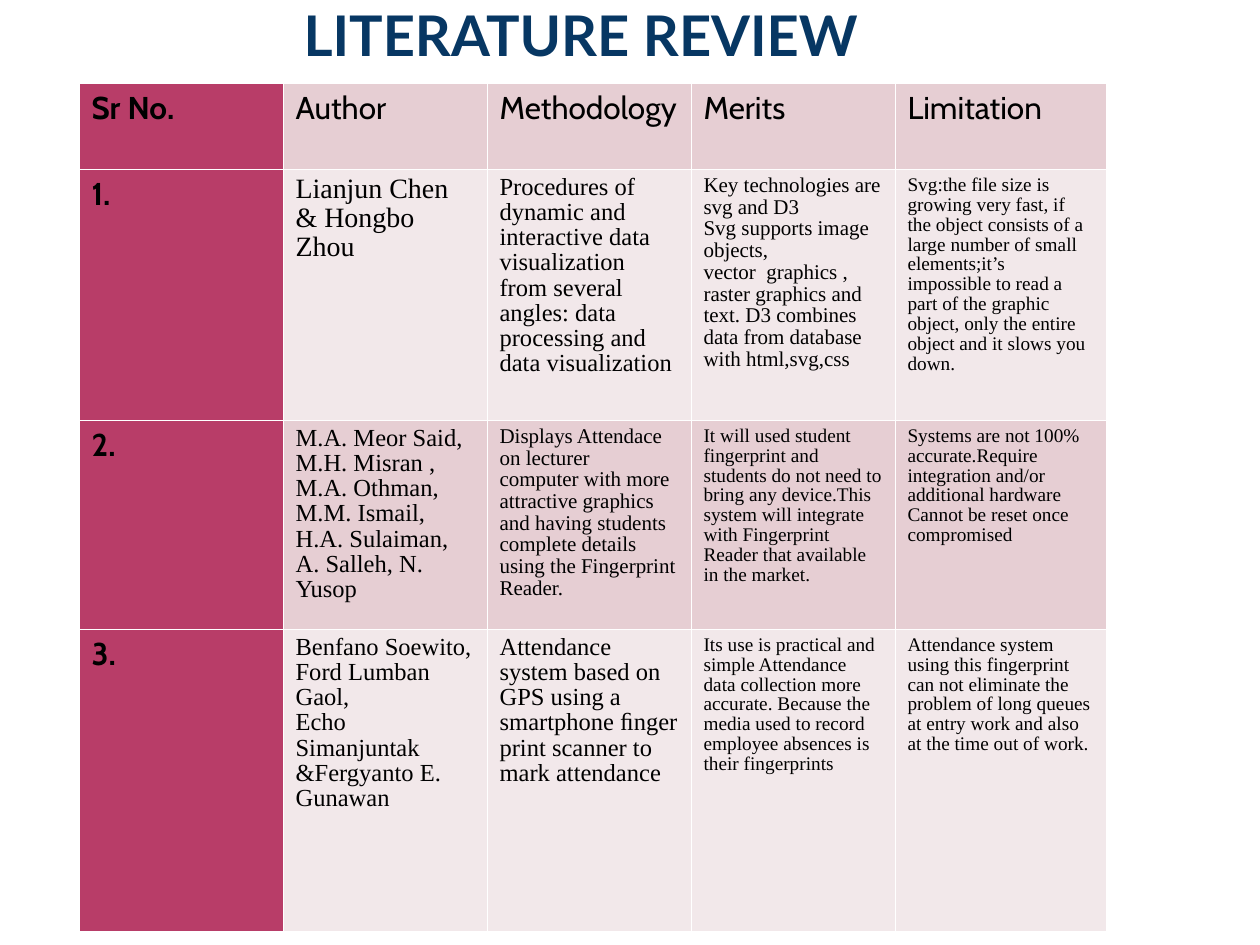
from lxml import etree
from pptx import Presentation
from pptx import util as u
from pptx.dml.color import RGBColor
from pptx.enum import text
from pptx.oxml.ns import qn

PX = u.Inches(1) // 126

COLUMNS = [204, 204, 204, 204, 211]
ROWS = [86, 251, 209, 302]
HEADER = ["Sr No.", "Author", "Methodology", "Merits", "Limitation"]

# Each body cell: font size, then its paragraphs
STUDIES = [
    [
        (16, ["Lianjun Chen", "& Hongbo Zhou"]),
        (14, ["Procedures of dynamic and interactive data visualization from "
              "several angles: data processing and data visualization"]),
        (12, ["Key technologies are svg and D3",
              "Svg supports image objects,",
              "vector  graphics , raster graphics and text. D3 combines data "
              "from database with html,svg,css"]),
        (11, ["Svg:the file size is growing very fast, if the object consists "
              "of a large number of small elements;it’s impossible to read a "
              "part of the graphic object, only the entire object and it "
              "slows you down."]),
    ],
    [
        (14, ["M.A. Meor Said, M.H. Misran , M.A. Othman, M.M. Ismail, "
              "H.A. Sulaiman, A. Salleh, N. Yusop"]),
        (12, ["Displays Attendace on lecturer",
              "computer with more attractive graphics and having students "
              "complete details using the Fingerprint Reader."]),
        (11, ["It will used student fingerprint and students do not need to "
              "bring any device.This system will integrate with Fingerprint "
              "Reader that available in the market."]),
        (11, ["Systems are not 100% accurate.Require integration and/or "
              "additional hardware",
              "Cannot be reset once compromised"]),
    ],
    [
        (14, ["Benfano Soewito, Ford Lumban Gaol,",
              "Echo Simanjuntak &Fergyanto E. Gunawan"]),
        (14, ["Attendance system based on GPS using a smartphone ﬁnger print "
              "scanner to mark attendance"]),
        (11, ["Its use is practical and simple Attendance data collection "
              "more accurate. Because the media used to record employee "
              "absences is their fingerprints"]),
        (11, ["Attendance system using this fingerprint can not eliminate the "
              "problem of long queues at entry work and also at the time out "
              "of work."]),
    ],
]


def px(length):
    return u.Emu(length * PX)


def color(value):
    return RGBColor.from_string(value)


def write(frame, lines, *, size, font, fill="000000", bold=False,
          align=text.PP_ALIGN.LEFT, spacing=1.0):
    """Fill a text frame with one paragraph per line."""
    for index, line in enumerate(lines):
        paragraph = frame.add_paragraph() if index else frame.paragraphs[0]
        paragraph.alignment = align
        paragraph.line_spacing = spacing
        run = paragraph.add_run()
        run.text = line
        run.font.size = u.Pt(size)
        run.font.name = font
        run.font.bold = bold
        run.font.color.rgb = color(fill)


def add_title(slide, title):
    shape = slide.shapes.title
    shape.left, shape.top, shape.width, shape.height = map(px, (171, 0, 820, 91))
    frame = shape.text_frame
    frame.auto_size = text.MSO_AUTO_SIZE.NONE
    frame.vertical_anchor = text.MSO_ANCHOR.TOP
    frame.margin_left = frame.margin_right = px(6)
    frame.margin_top = frame.margin_bottom = 0
    write(frame, [title], size=32, font="Lato", fill="073763", bold=True,
          align=text.PP_ALIGN.CENTER)


def style_cell(cell, fill):
    """Give a cell its fill and thin white borders."""
    properties = cell._tc.get_or_add_tcPr()
    for side in ("a:lnL", "a:lnR", "a:lnT", "a:lnB"):
        line = etree.SubElement(properties, qn(side), w=str(u.Pt(0.45)))
        solid = etree.SubElement(line, qn("a:solidFill"))
        etree.SubElement(solid, qn("a:srgbClr"), val="FFFFFF")
    cell.fill.solid()
    cell.fill.fore_color.rgb = color(fill)


def add_review_table(slide):
    table = slide.shapes.add_table(
        len(ROWS), len(COLUMNS), px(79), px(83),
        px(sum(COLUMNS)), px(sum(ROWS))).table
    for column, width in zip(table.columns, COLUMNS):
        column.width = px(width)
    for row, height in zip(table.rows, ROWS):
        row.height = px(height)

    contents = [[(18, [label]) for label in HEADER]]
    for number, study in enumerate(STUDIES, 1):
        contents.append([(18, [f"{number}."])] + study)
    for r, row in enumerate(contents):
        band = "F2E8EA" if r % 2 else "E6CED3"
        for c, (size, lines) in enumerate(row):
            cell = table.cell(r, c)
            heading = r == 0 or c == 0
            style_cell(cell, band if c else "B83D68")
            write(cell.text_frame, lines, size=size, bold=c == 0,
                  font="Cabin" if heading else "Times New Roman",
                  spacing=0.97 if heading else 0.93)


def main():
    presentation = Presentation()
    presentation.slide_width = u.Inches(10)
    presentation.slide_height = u.Inches(7.5)
    slide = presentation.slides.add_slide(presentation.slide_layouts[5])
    add_title(slide, "LITERATURE REVIEW")
    add_review_table(slide)
    presentation.save("out.pptx")


if __name__ == "__main__":
    main()
